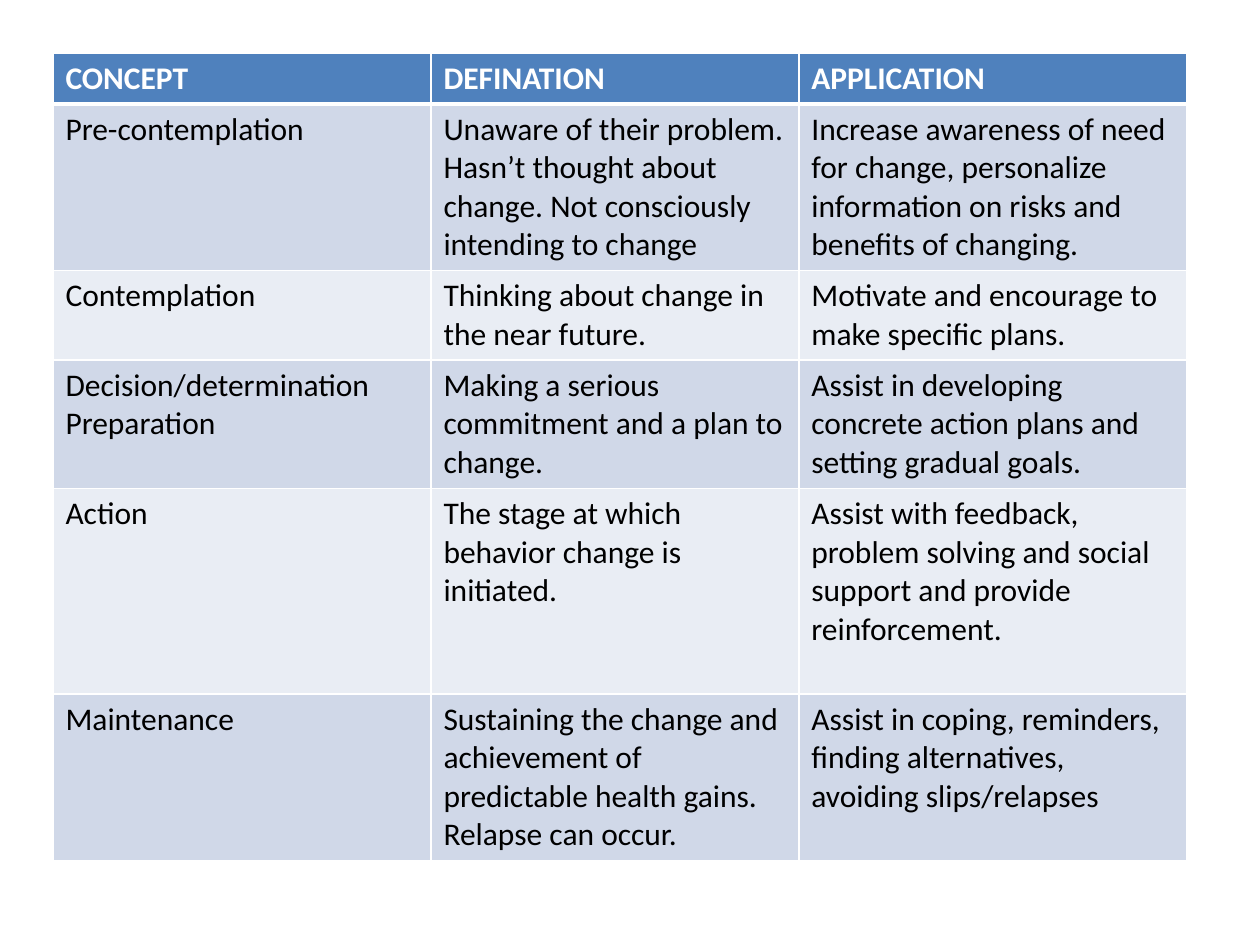
from lxml import etree
from pptx import Presentation
from pptx.dml.color import RGBColor
from pptx.oxml import ns
from pptx.util import Inches, Pt

# Content
HEADINGS = ("CONCEPT", "DEFINATION", "APPLICATION")
STAGES = [
    ("Pre-contemplation",
     "Unaware of their problem. Hasn’t thought about change. Not consciously intending to change",
     "Increase awareness of need for change, personalize information on risks and benefits of changing."),
    ("Contemplation",
     "Thinking about change in the near future.",
     "Motivate and encourage to make specific plans."),
    ("Decision/determination Preparation",
     "Making a serious commitment and a plan to change.",
     "Assist in developing concrete action plans and setting gradual goals."),
    ("Action",
     "The stage at which behavior change is initiated.",
     "Assist with feedback, problem solving and social support and provide reinforcement."),
    ("Maintenance",
     "Sustaining the change and achievement of predictable health gains. Relapse can occur.",
     "Assist in coping, reminders, finding alternatives, avoiding slips/relapses"),
]

# Layout in inches
LEFT, TOP = 0.42, 0.42
COLUMN_WIDTHS = (3, 2.92, 3.08)
ROW_HEIGHTS = (0.4, 1.32, 0.71, 1.02, 1.63, 1.32)

THEME = {
    "font": "Calibri", "size": 18,
    "header": "4F81BD", "header_text": "FFFFFF",
    "bands": ("D0D8E8", "E9EDF4"), "text": "000000",
    "border": "FFFFFF", "thin": 1, "thick": 3,
}


def set_border(cell, side, width):
    properties = cell._tc.get_or_add_tcPr()
    line = etree.SubElement(properties, ns.qn(f"a:ln{side}"), w=str(Pt(width)))
    fill = etree.SubElement(line, ns.qn("a:solidFill"))
    etree.SubElement(fill, ns.qn("a:srgbClr"), val=THEME["border"])


def write_text(text_frame, content, color, bold=False):
    paragraph = text_frame.paragraphs[0]
    run = paragraph.add_run()
    run.text = content
    run.font.name = THEME["font"]
    run.font.size = Pt(THEME["size"])
    run.font.bold = bold
    run.font.color.rgb = RGBColor.from_string(color)


def format_cell(cell, row):
    # Borders come before the fill in the cell properties
    for side in "LRTB":
        below_header = (row, side) in ((0, "B"), (1, "T"))
        set_border(cell, side, THEME["thick" if below_header else "thin"])
    color = THEME["header"] if row == 0 else THEME["bands"][(row - 1) % 2]
    cell.fill.solid()
    cell.fill.fore_color.rgb = RGBColor.from_string(color)


def main():
    presentation = Presentation()
    presentation.slide_width, presentation.slide_height = Inches(10), Inches(7.5)
    slide = presentation.slides.add_slide(presentation.slide_layouts[6])

    # Table of stages
    rows = [HEADINGS] + STAGES
    table = slide.shapes.add_table(
        len(rows), len(HEADINGS), Inches(LEFT), Inches(TOP),
        Inches(sum(COLUMN_WIDTHS)), Inches(sum(ROW_HEIGHTS))).table
    for column, width in zip(table.columns, COLUMN_WIDTHS):
        column.width = Inches(width)
    for table_row, height in zip(table.rows, ROW_HEIGHTS):
        table_row.height = Inches(height)

    # Cells
    for row, contents in enumerate(rows):
        color = THEME["header_text" if row == 0 else "text"]
        for column, content in enumerate(contents):
            cell = table.cell(row, column)
            format_cell(cell, row)
            write_text(cell.text_frame, content, color, bold=row == 0)

    presentation.save("out.pptx")


if __name__ == "__main__":
    main()
